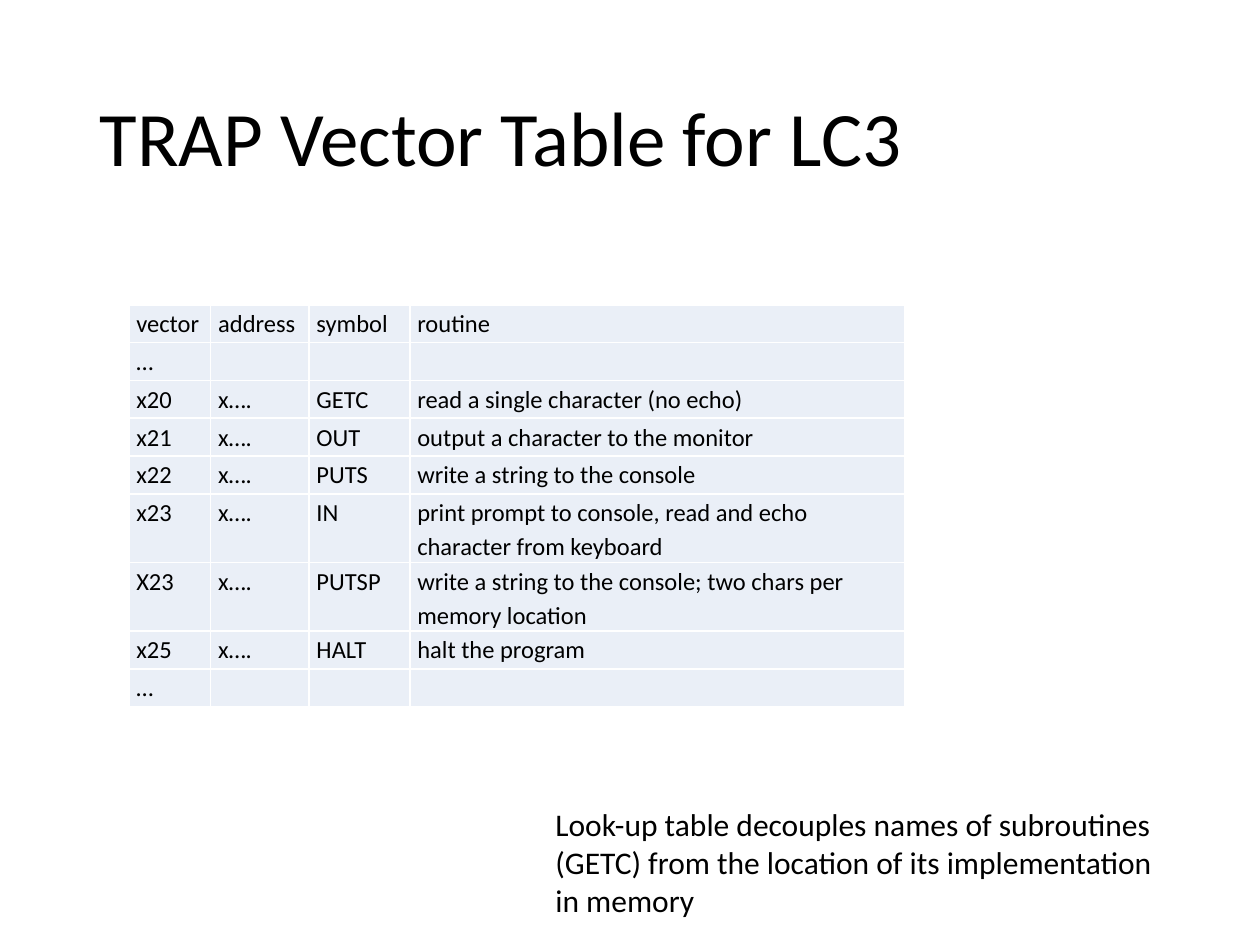
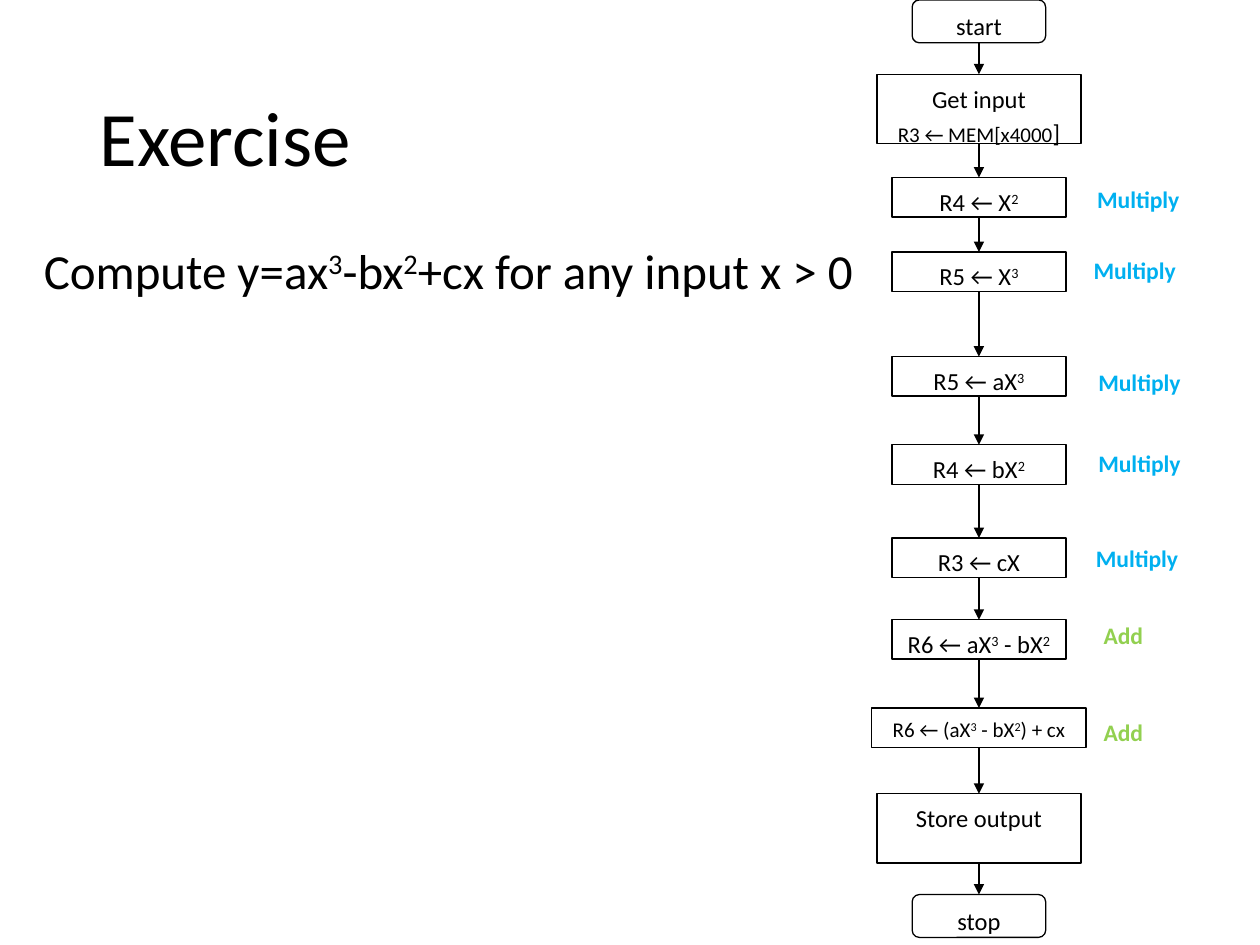
from dataclasses import dataclass

from lxml.etree import SubElement
from pptx import Presentation
from pptx.dml.color import RGBColor
from pptx.enum.shapes import MSO_CONNECTOR as Link, MSO_SHAPE as Kind
from pptx.enum.text import MSO_ANCHOR as Anchor, MSO_AUTO_SIZE as Fit, PP_ALIGN as Align
from pptx.oxml.ns import qn
from pptx.shapes.autoshape import Shape
from pptx.slide import Slide
from pptx.util import Pt

# Shared look
FONT = "Calibri"
BLACK = RGBColor(0x00, 0x00, 0x00)
WHITE = RGBColor(0xFF, 0xFF, 0xFF)
PALE = RGBColor(0xEA, 0xEF, 0xF7)
BLUE = RGBColor(0x00, 0xB0, 0xF0)
GREEN = RGBColor(0x92, 0xD0, 0x50)
LINE = 0.75

# Trap table
COLS = (46.8, 56.2, 57.6, 283)
LOW, TALL = 21.6, 37.4
TRAPS = (
    ("vector", "address", "symbol", "routine"),
    ("…", "", "", ""),
    ("x20", "x….", "GETC", "read a single character (no echo)"),
    ("x21", "x….", "OUT", "output a character to the monitor"),
    ("x22", "x….", "PUTS", "write a string to the console"),
    ("x23", "x….", "IN", "print prompt to console, read and echo character from keyboard"),
    ("X23", "x….", "PUTSP", "write a string to the console; two chars per memory location"),
    ("x25", "x….", "HALT", "halt the program"),
    ("…", "", "", ""),
)
WRAPPED = (5, 6)

# Flow chart
AXIS = 559.4


@dataclass(frozen=True)
class Step:
    text: str
    top: float
    width: float = 99.4
    height: float = 22.5
    size: float = 14
    kind: Kind = Kind.RECTANGLE


@dataclass(frozen=True)
class Tag:
    text: str
    left: float
    top: float
    width: float
    color: RGBColor


STEPS = (
    Step("start", 0, 76.3, 24.5, kind=Kind.ROUNDED_RECTANGLE),
    Step("Get input", 42.5, 116.6, 39.6),
    Step("R4 ← X^2", 101.5),
    Step("R5 ← X^3", 144),
    Step("R5 ← aX^3", 203.8),
    Step("R4 ← bX^2", 254.2),
    Step("R3 ← cX", 307.4),
    Step("R6 ← aX^3^ - bX^2", 354.2),
    Step("R6 ← (aX^3^ - bX^2^) + cx", 404.6, 122.4, size=12),
    Step("Store output", 453.6, 116.6, 39.6),
    Step("stop", 511.2, 76.3, 24.5, kind=Kind.ROUNDED_RECTANGLE),
)
TAGS = (
    Tag("Multiply", 619.9, 102.2, 62.6, BLUE),
    Tag("Multiply", 617.8, 142.6, 62.6, BLUE),
    Tag("Multiply", 620.6, 206.6, 62.6, BLUE),
    Tag("Multiply", 620.6, 252.7, 62.6, BLUE),
    Tag("Multiply", 619.2, 307.4, 62.6, BLUE),
    Tag("Add", 623.5, 351.4, 37.4, GREEN),
    Tag("Add", 623.5, 406.8, 37.4, GREEN),
)


def write(para, text: str, size: float, color: RGBColor = BLACK, bold: bool = False) -> None:
    """Add text to a paragraph; each ^ turns superscript on or off."""
    for i, part in enumerate(text.split("^")):
        if not part:
            continue
        run = para.add_run()
        run.text = part
        font = run.font
        font.name, font.size, font.bold = FONT, Pt(size), bold
        font.color.rgb = color
        if i % 2:
            run._r.get_or_add_rPr().set("baseline", "30000")


def add_page(deck, title: str) -> Slide:
    page = deck.slides.add_slide(deck.slide_layouts[5])
    head = page.shapes.title
    head.left, head.top, head.width, head.height = Pt(49.7), Pt(28.8), Pt(620.6), Pt(104.4)
    frame = head.text_frame
    frame.vertical_anchor = Anchor.MIDDLE
    para = frame.paragraphs[0]
    para.alignment, para.line_spacing = Align.LEFT, 0.9
    write(para, title, 44)
    return page


def add_note(page: Slide, left: float, top: float, width: float, height: float) -> Shape:
    note = page.shapes.add_textbox(Pt(left), Pt(top), Pt(width), Pt(height))
    note.text_frame.word_wrap = True
    return note


def add_tag(page: Slide, tag: Tag) -> None:
    frame = add_note(page, tag.left, tag.top, tag.width, 23.8).text_frame
    frame.word_wrap = False
    frame.auto_size = Fit.SHAPE_TO_FIT_TEXT
    write(frame.paragraphs[0], tag.text, 13.5, tag.color, True)


def add_line(para, text: str, size: float) -> None:
    para.alignment, para.line_spacing = Align.CENTER, 1.15
    write(para, text, size)


def add_step(page: Slide, step: Step) -> Shape:
    box = page.shapes.add_shape(step.kind, Pt(AXIS - step.width / 2), Pt(step.top),
                                Pt(step.width), Pt(step.height))
    box.shadow.inherit = False
    box.fill.solid()
    box.fill.fore_color.rgb = WHITE
    box.line.color.rgb = BLACK
    box.line.width = Pt(LINE)
    frame = box.text_frame
    frame.word_wrap = True
    frame.vertical_anchor = Anchor.TOP
    frame.margin_left = frame.margin_right = Pt(5)
    frame.margin_top = frame.margin_bottom = Pt(2.9)
    add_line(frame.paragraphs[0], step.text, step.size)
    return box


def add_arrow(page: Slide, start: Shape, end: Shape) -> None:
    arrow = page.shapes.add_connector(Link.STRAIGHT, 0, 0, 0, 0)
    arrow.begin_connect(start, 2)
    arrow.end_connect(end, 0)
    arrow.line.color.rgb = BLACK
    arrow.line.width = Pt(LINE)
    SubElement(arrow.line._get_or_add_ln(), qn("a:tailEnd"), type="triangle")
    SubElement(arrow._element.spPr, qn("a:effectLst"))


def add_traps(page: Slide) -> None:
    heights = [TALL if i in WRAPPED else LOW for i in range(len(TRAPS))]
    table = page.shapes.add_table(len(TRAPS), len(COLS), Pt(73.6), Pt(174.2),
                                  Pt(sum(COLS)), Pt(sum(heights))).table
    table.first_row = table.horz_banding = False
    for col, width in zip(table.columns, COLS):
        col.width = Pt(width)
    for row, height, texts in zip(table.rows, heights, TRAPS):
        row.height = Pt(height)
        for cell, text in zip(row.cells, texts):
            cell.fill.solid()
            cell.fill.fore_color.rgb = PALE
            cell.margin_left = cell.margin_right = Pt(4.3)
            cell.margin_top = cell.margin_bottom = 0
            para = cell.text_frame.paragraphs[0]
            para.line_spacing = 1.15
            write(para, text, 14)
            if not text:
                SubElement(para._p, qn("a:endParaRPr"), sz="1400")


def draw_table(deck) -> None:
    page = add_page(deck, "TRAP Vector Table for LC3")
    add_traps(page)
    note = add_note(page, 310.3, 456.5, 360, 72.7)
    note.text_frame.auto_size = Fit.SHAPE_TO_FIT_TEXT
    write(note.text_frame.paragraphs[0], "Look-up table decouples names of subroutines (GETC) "
          "from the location of its implementation in memory", 18)


def draw_flow(deck) -> None:
    page = add_page(deck, "Exercise")
    task = add_note(page, 18, 137.5, 489.6, 294.5).text_frame.paragraphs[0]
    task.line_spacing, task.space_before = 0.9, Pt(10)
    write(task, "Compute y=ax^3^-bx^2^+cx for any input x > 0", 28)

    # Steps joined from top to bottom
    boxes = [add_step(page, step) for step in STEPS]
    load = boxes[1].text_frame.add_paragraph()
    add_line(load, "R3 ← MEM[x4000", 12)
    write(load, "]", 14)
    for start, end in zip(boxes, boxes[1:]):
        add_arrow(page, start, end)

    # Operation beside each step
    for tag in TAGS:
        add_tag(page, tag)


def main() -> None:
    deck = Presentation()
    deck.slide_width, deck.slide_height = Pt(720), Pt(540)
    draw_table(deck)
    draw_flow(deck)
    deck.save("out.pptx")


if __name__ == "__main__":
    main()
